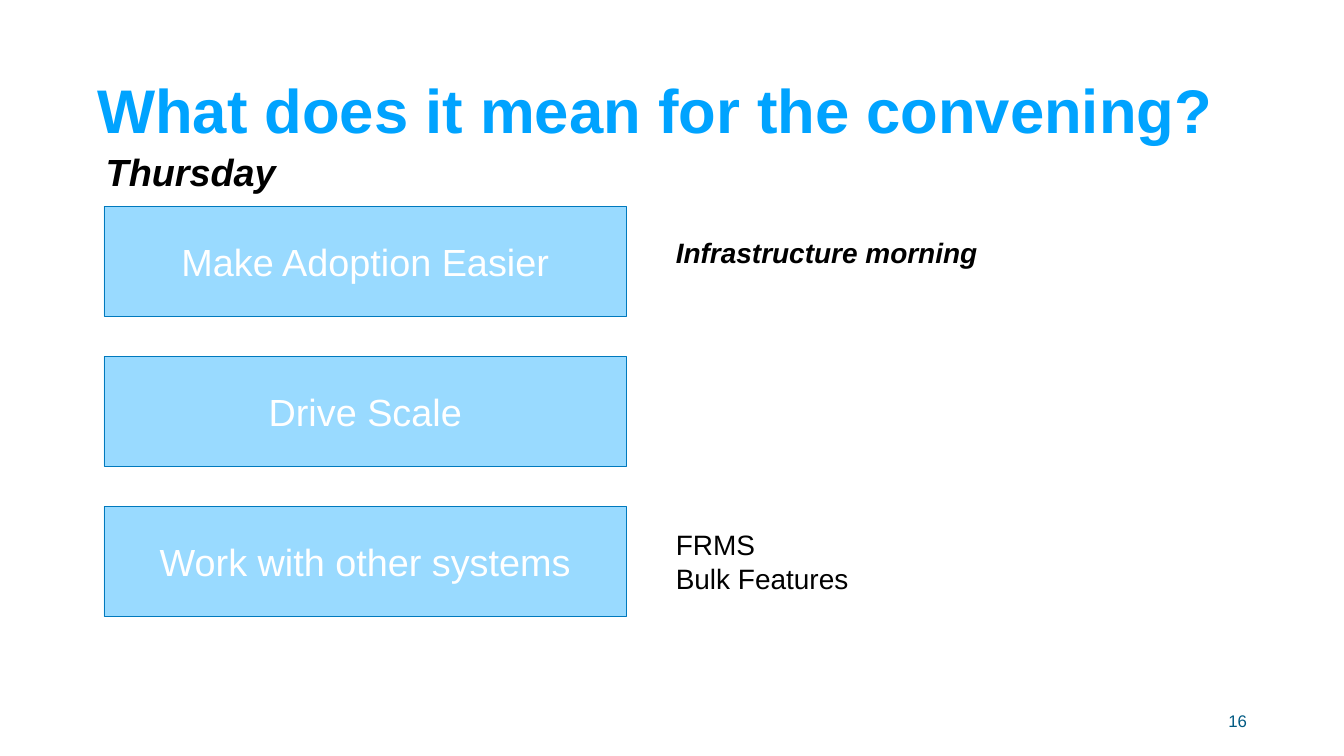
from pptx import Presentation
from pptx.dml.color import RGBColor
from pptx.enum.shapes import MSO_SHAPE
from pptx.enum.text import MSO_ANCHOR, PP_ALIGN
from pptx.util import Pt

WHITE = RGBColor(0xFF, 0xFF, 0xFF)
BLACK = RGBColor(0x00, 0x00, 0x00)
TITLE_BLUE = RGBColor(0x00, 0xA3, 0xFF)
NUMBER_BLUE = RGBColor(0x00, 0x5A, 0x83)
GOAL_FILL = RGBColor(0x99, 0xDA, 0xFF)
GOAL_LINE = RGBColor(0x00, 0x79, 0xBD)

presentation = Presentation()
presentation.slide_width = Pt(1920)
presentation.slide_height = Pt(1080)
slide = presentation.slides.add_slide(presentation.slide_layouts[6])


def write(shape, text, size, color, align=PP_ALIGN.LEFT, anchor=MSO_ANCHOR.MIDDLE,
          wrap=True, bold=False, italic=False):
    text_frame = shape.text_frame
    text_frame.text = text
    text_frame.word_wrap = wrap
    text_frame.vertical_anchor = anchor
    for paragraph in text_frame.paragraphs:
        paragraph.alignment = align
        for run in paragraph.runs:
            run.font.name = "Arial"
            run.font.size = Pt(size)
            run.font.color.rgb = color
            run.font.bold = bold
            run.font.italic = italic


def add_text(left, top, width, height, *content, **style):
    shape = slide.shapes.add_textbox(Pt(left), Pt(top), Pt(width), Pt(height))
    write(shape, *content, **style)
    return shape


title = add_text(132, 57.6, 1656, 208.8, "What does it mean for the convening?",
                 88, TITLE_BLUE, bold=True)
title.text_frame.paragraphs[0].line_spacing = 0.9
add_text(1356.5, 1000.8, 432, 57.6, "16", 24, NUMBER_BLUE, align=PP_ALIGN.RIGHT)

goals = ["Make Adoption Easier", "Drive Scale", "Work with other systems"]
for index, goal in enumerate(goals):
    box = slide.shapes.add_shape(MSO_SHAPE.RECTANGLE, Pt(148.5), Pt(294.5 + index * 214.5),
                                 Pt(746.5), Pt(157.5))
    box.shadow.inherit = False
    box.fill.solid()
    box.fill.fore_color.rgb = GOAL_FILL
    box.line.color.rgb = GOAL_LINE
    box.line.width = Pt(1)
    write(box, goal, 54, WHITE, align=PP_ALIGN.CENTER)

notes = [
    (144, 208.8, 260, 72.7, "Thursday", 54, True),
    (958.3, 332.6, 450, 55.4, "Infrastructure morning", 40, True),
    (958.3, 750.2, 263.5, 104.4, "FRMS\nBulk Features", 40, False),
]
for left, top, width, height, text, size, emphasis in notes:
    add_text(left, top, width, height, text, size, BLACK, anchor=MSO_ANCHOR.TOP,
             wrap=False, bold=emphasis, italic=emphasis)

presentation.save("out.pptx")
